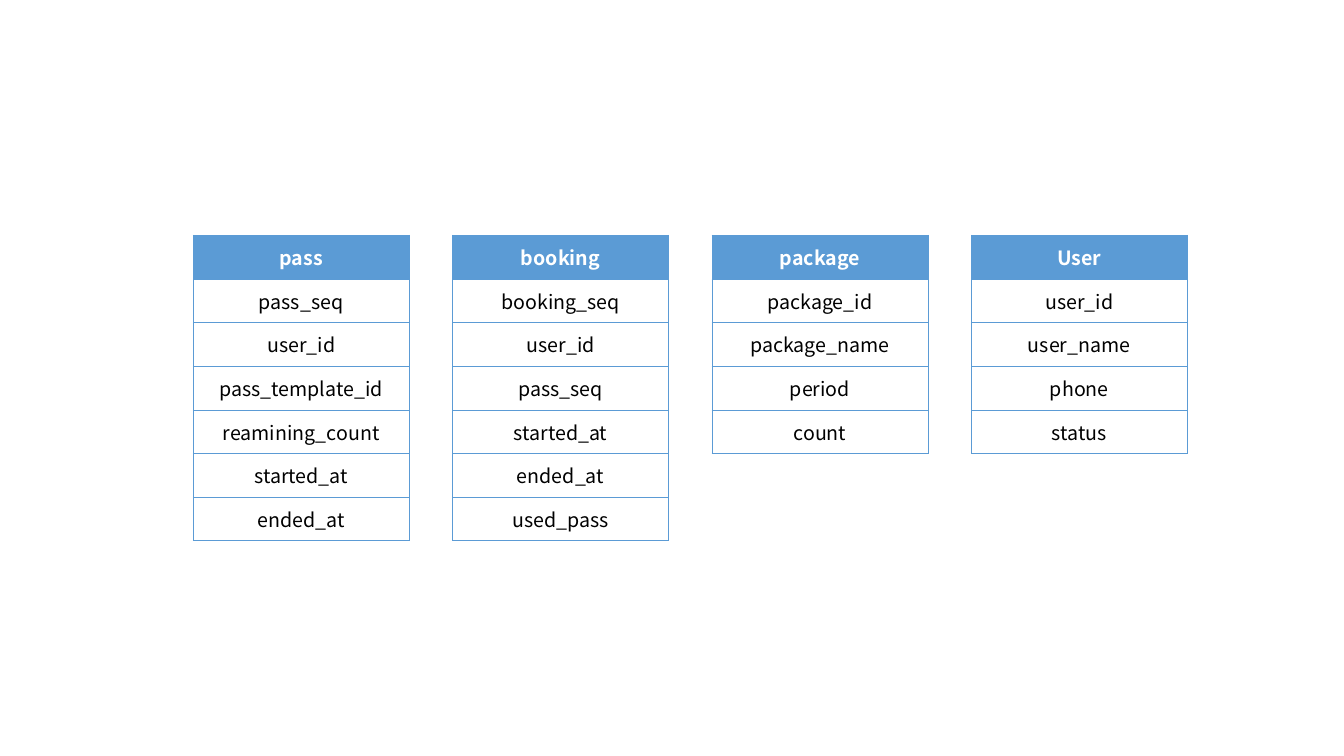
from lxml import etree
from pptx import Presentation
from pptx.dml.color import RGBColor
from pptx.enum import text
from pptx.oxml import ns
from pptx.util import Pt

PX = 3048  # EMU per px, 300 px to the inch
BLUE = RGBColor(0x5B, 0x9B, 0xD5)
WHITE = RGBColor(0xFF, 0xFF, 0xFF)
BLACK = RGBColor(0x00, 0x00, 0x00)
FONT = "Noto Sans CJK KR"

LEFT, TOP = 575, 700
WIDTH, ROW_HEIGHT, STEP = 643, 130, 772
MARGIN_X, MARGIN_Y = 24, 12

ENTITIES = {
    "pass": ["pass_seq", "user_id", "pass_template_id", "reamining_count",
             "started_at", "ended_at"],
    "booking": ["booking_seq", "user_id", "pass_seq", "started_at",
                "ended_at", "used_pass"],
    "package": ["package_id", "package_name", "period", "count"],
    "User": ["user_id", "user_name", "phone", "status"],
}


def add_borders(cell):
    properties = cell._tc.get_or_add_tcPr()
    for side in ("lnL", "lnR", "lnT", "lnB"):
        line = etree.SubElement(properties, ns.qn(f"a:{side}"), w=str(Pt(0.5)))
        fill = etree.SubElement(line, ns.qn("a:solidFill"))
        etree.SubElement(fill, ns.qn("a:srgbClr"), val=str(BLUE))


prs = Presentation()
prs.slide_width = 4000 * PX
prs.slide_height = 2250 * PX
slide = prs.slides.add_slide(prs.slide_layouts[6])

for position, (entity, fields) in enumerate(ENTITIES.items()):
    labels = [entity] + fields
    table = slide.shapes.add_table(
        len(labels), 1, (LEFT + position * STEP) * PX, TOP * PX,
        WIDTH * PX, len(labels) * ROW_HEIGHT * PX).table
    table.horz_banding = False

    for row, label in enumerate(labels):
        is_header = row == 0
        cell = table.cell(row, 0)
        cell.margin_left = cell.margin_right = MARGIN_X * PX
        cell.margin_top = cell.margin_bottom = MARGIN_Y * PX
        cell.vertical_anchor = text.MSO_ANCHOR.MIDDLE
        add_borders(cell)
        cell.fill.solid()
        cell.fill.fore_color.rgb = BLUE if is_header else WHITE

        cell.text = label
        paragraph = cell.text_frame.paragraphs[0]
        paragraph.alignment = text.PP_ALIGN.CENTER
        paragraph.font.name = FONT
        paragraph.font.size = Pt(14)
        paragraph.font.bold = is_header
        paragraph.font.color.rgb = WHITE if is_header else BLACK

prs.save("out.pptx")
